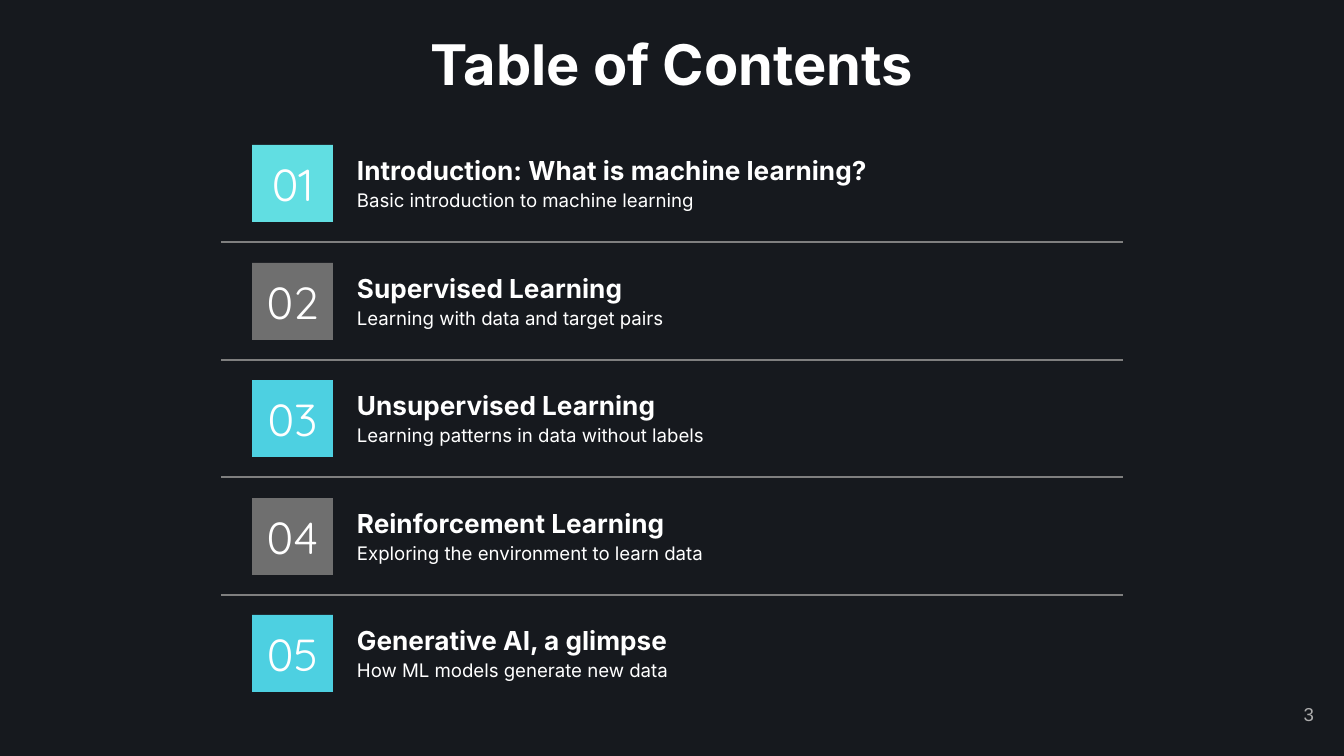
from lxml import etree
from pptx import Presentation
from pptx import util as u
from pptx.dml.color import RGBColor
from pptx.enum import shapes, text
from pptx.oxml import ns

SCALE = 914400 / 134.4
WHITE = "FFFFFF"


def paint(color, value):
    color.rgb = RGBColor.from_string(value)


def write(box, words, size, font="Inter", color=WHITE, bold=False, align="LEFT", anchor="TOP", inset=(0, 0)):
    frame = box.text_frame
    frame.word_wrap = True
    frame.vertical_anchor = text.MSO_ANCHOR[anchor]
    frame.margin_left = frame.margin_right = round(inset[0] * SCALE)
    frame.margin_top = frame.margin_bottom = round(inset[1] * SCALE)
    para = frame.paragraphs[0]
    para.alignment = text.PP_ALIGN[align]
    span = para.add_run()
    span.text = words
    span.font.name = font
    span.font.size = u.Pt(size)
    span.font.bold = bold
    paint(span.font.color, color)


deck = Presentation()
deck.slide_width = round(1344 * SCALE)
deck.slide_height = round(756 * SCALE)
page = deck.slides.add_slide(deck.slide_layouts[6])
page.background.fill.solid()
paint(page.background.fill.fore_color, "16191E")

title = page.shapes.add_textbox(*[round(n * SCALE) for n in (0, 17, 1344, 87)])
write(title, "Table of Contents", 30, bold=True, align="CENTER", inset=(13, 13))

chapters = [
    ("Introduction: What is machine learning?", "Basic introduction to machine learning", "61DEE2"),
    ("Supervised Learning", "Learning with data and target pairs", "6F6F6F"),
    ("Unsupervised Learning", "Learning patterns in data without labels", "4DD0E1"),
    ("Reinforcement Learning", "Exploring the environment to learn data", "6F6F6F"),
    ("Generative AI, a glimpse", "How ML models generate new data", "4DD0E1"),
]

for index, (heading, summary, color) in enumerate(chapters):
    top = 145 + round(index * 117.6)

    badge = page.shapes.add_shape(
        shapes.MSO_SHAPE.RECTANGLE, *[round(n * SCALE) for n in (252, top, 81, 77)]
    )
    badge.shadow.inherit = False
    badge.fill.solid()
    paint(badge.fill.fore_color, color)
    badge.line.fill.background()
    write(badge, f"{index + 1:02}", 24, font="Quicksand", align="CENTER", anchor="MIDDLE", inset=(13, 7))

    entry = page.shapes.add_group_shape()
    heading_box = entry.shapes.add_textbox(*[round(n * SCALE) for n in (357, top + 9, 919, 40)])
    write(heading_box, heading, 14, bold=True)
    summary_box = entry.shapes.add_textbox(*[round(n * SCALE) for n in (357, top + 44, 919, 32)])
    write(summary_box, summary, 10)

    if index < len(chapters) - 1:
        divider = page.shapes.add_connector(
            shapes.MSO_CONNECTOR.STRAIGHT, *[round(n * SCALE) for n in (221, top + 97, 1123, top + 97)]
        )
        divider.line.width = u.Pt(0.75)
        paint(divider.line.color, "7F7F7F")
        etree.SubElement(divider._element.spPr, ns.qn("a:effectLst"))

number = page.shapes.add_textbox(*[round(n * SCALE) for n in (1246, 685, 81, 58)])
write(number, "3", 10, font="Arial", color="ADADAD", align="RIGHT", anchor="MIDDLE", inset=(13, 13))

deck.save("out.pptx")
